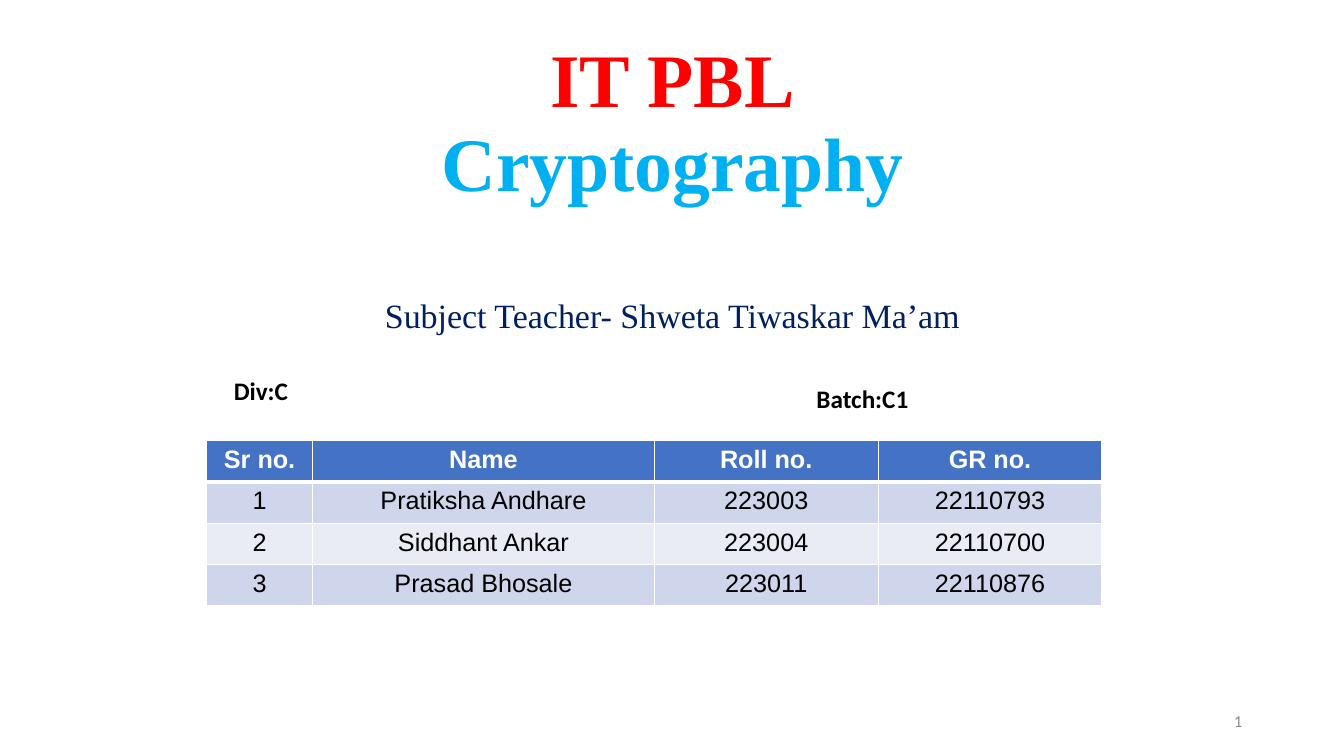
import pptx
import pptx.util
import pptx.dml.color
import pptx.enum.text
import pptx.oxml.ns
from lxml import etree

Inches = pptx.util.Inches
Pt = pptx.util.Pt
RGBColor = pptx.dml.color.RGBColor
Align = pptx.enum.text.PP_ALIGN
Anchor = pptx.enum.text.MSO_ANCHOR

RED = RGBColor(0xFF, 0x00, 0x00)
SKY = RGBColor(0x00, 0xB0, 0xF0)
NAVY = RGBColor(0x00, 0x20, 0x60)
BLACK = RGBColor(0x00, 0x00, 0x00)
WHITE = RGBColor(0xFF, 0xFF, 0xFF)
GREY = RGBColor(0x8C, 0x8C, 0x8C)
BLUE = RGBColor(0x44, 0x72, 0xC4)
BAND = RGBColor(0xCF, 0xD5, 0xEA)
PALE = RGBColor(0xE9, 0xEB, 0xF5)

ROWS = [
    ("Sr no.", "Name", "Roll no.", "GR no."),
    ("1", "Pratiksha Andhare", "223003", "22110793"),
    ("2", "Siddhant Ankar", "223004", "22110700"),
    ("3", "Prasad Bhosale", "223011", "22110876"),
]
WIDTHS = (1.05, 3.39, 2.22, 2.22)
ROW_HEIGHT = 0.41


def style(para, text, face, size, color, bold=False, align=Align.LEFT):
    para.text = text
    para.alignment = align
    font = para.font
    font.name, font.size, font.bold = face, Pt(size), bold
    font.color.rgb = color


def add_box(slide, left, top, width, height, anchor=Anchor.TOP):
    box = slide.shapes.add_textbox(
        Inches(left), Inches(top), Inches(width), Inches(height))
    frame = box.text_frame
    frame.word_wrap = True
    frame.vertical_anchor = anchor
    return frame


def add_title(slide):
    frame = add_box(slide, 1.67, 0.29, 10, 3.09, Anchor.BOTTOM)
    lines = [
        ("IT PBL", 54, RED, True, 0),
        ("Cryptography", 54, SKY, True, 2),
        ("Subject Teacher- Shweta Tiwaskar Ma’am", 24.3, NAVY, False, 65),
    ]
    for index, (text, size, color, bold, gap) in enumerate(lines):
        para = frame.add_paragraph() if index else frame.paragraphs[0]
        style(para, text, "Times New Roman", size, color, bold, Align.CENTER)
        para.line_spacing = 0.9
        para.space_before = Pt(gap)


def add_label(slide, text, left, top, width):
    frame = add_box(slide, left, top, width, 0.4)
    style(frame.paragraphs[0], text, "Calibri", 18, BLACK, True)


def add_edge(cell, side, width):
    props = cell._tc.get_or_add_tcPr()
    name = pptx.oxml.ns.qn
    line = etree.SubElement(props, name("a:ln" + side), w=str(Pt(width)))
    fill = etree.SubElement(line, name("a:solidFill"))
    etree.SubElement(fill, name("a:srgbClr"), val=str(WHITE))


def add_roster(slide):
    table = slide.shapes.add_table(
        len(ROWS), len(WIDTHS), Inches(2.05), Inches(4.37),
        Inches(sum(WIDTHS)), Inches(ROW_HEIGHT * len(ROWS))).table
    for column, width in zip(table.columns, WIDTHS):
        column.width = Inches(width)
    for row, texts in enumerate(ROWS):
        table.rows[row].height = Inches(ROW_HEIGHT)
        head = row == 0
        back = BLUE if head else BAND if row % 2 else PALE
        for col, text in enumerate(texts):
            cell = table.cell(row, col)
            # Borders come before the fill; a thick rule sits below the header
            for side in "LRTB":
                thick = (row, side) in ((0, "B"), (1, "T"))
                add_edge(cell, side, 3 if thick else 1)
            cell.fill.solid()
            cell.fill.fore_color.rgb = back
            style(cell.text_frame.paragraphs[0], text, "Arial", 18,
                  WHITE if head else BLACK, head, Align.CENTER)


def add_number(slide):
    frame = add_box(slide, 9.42, 6.95, 3, 0.4, Anchor.MIDDLE)
    style(frame.paragraphs[0], "1", "Calibri", 12, GREY, align=Align.RIGHT)


def main():
    deck = pptx.Presentation()
    deck.slide_width, deck.slide_height = Inches(13.33), Inches(7.5)
    slide = deck.slides.add_slide(deck.slide_layouts[6])

    # Heading and class details
    add_title(slide)
    add_label(slide, "Div:C", 2.22, 3.67, 1.99)
    add_label(slide, "Batch:C1", 8, 3.75, 2.34)

    # Student table and page number
    add_roster(slide)
    add_number(slide)
    deck.save("out.pptx")


if __name__ == "__main__":
    main()
